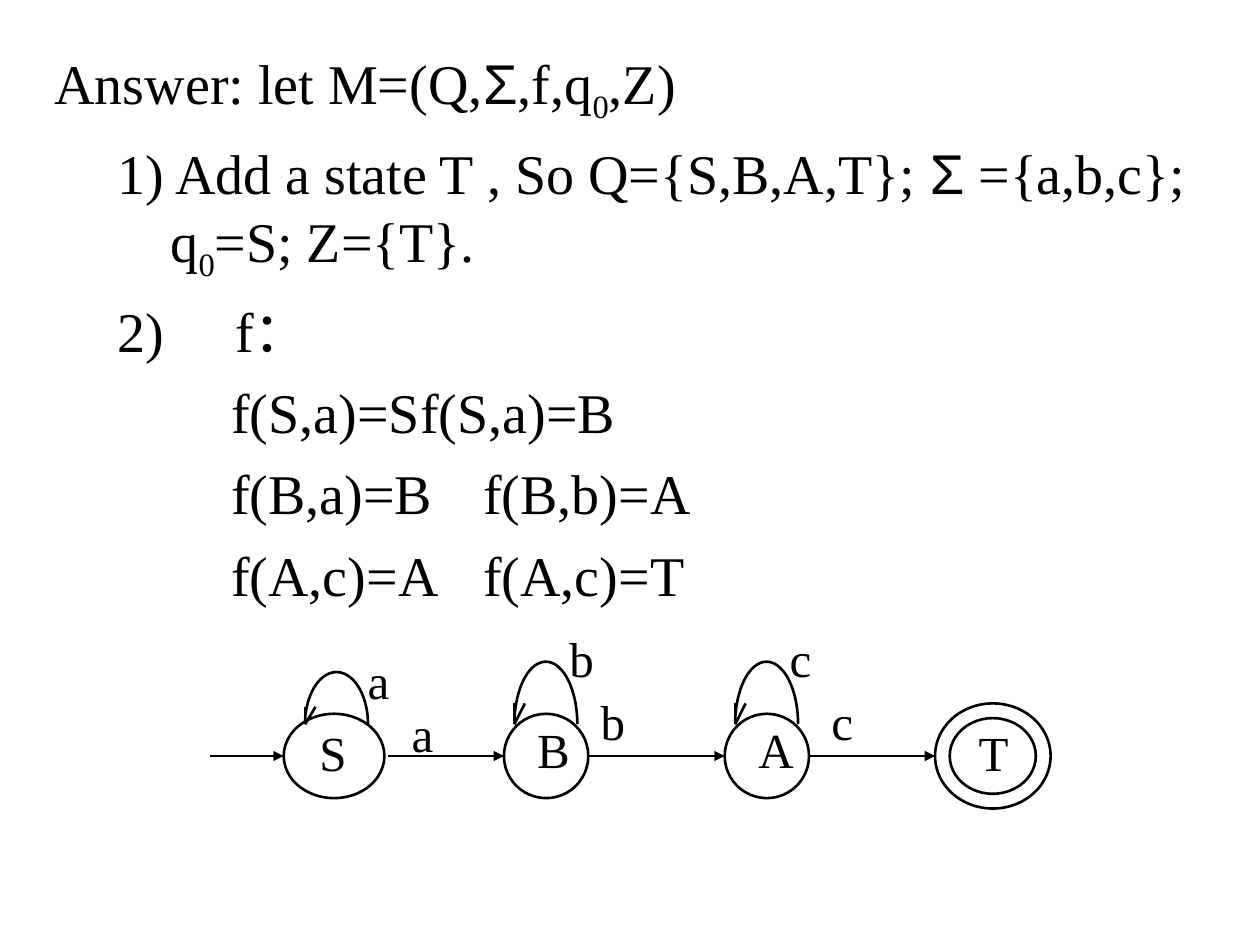
import math
from lxml import etree
from pptx import Presentation
from pptx.dml.color import RGBColor
from pptx.enum.dml import MSO_LINE
from pptx.enum.shapes import MSO_CONNECTOR, MSO_SHAPE
from pptx.oxml.ns import qn
from pptx.util import Cm, Pt

BLACK = RGBColor(0, 0, 0)
OVAL, RING = MSO_SHAPE.OVAL, MSO_SHAPE.DONUT
LINE = MSO_CONNECTOR.STRAIGHT
SOLID = MSO_LINE.SOLID
SERIF, SANS = "Times New Roman", "Arial"
PEN = {"width": Pt(1.5), "dash_style": SOLID}
AXIS, FOOT = 15.24, 14.6

HEAD = {"margin": 0.95, "first": -0.95}
ITEM = {"margin": 2.34, "first": -1.07}
CASE = {"margin": 3.64, "first": -2.37, "tab": 3.64}
RULE = {"margin": 3.56, "first": 0, "tab": 8.75}

LINES = [
    (HEAD, [("Answer: let M=(Q,", ""), ("Σ", "sans"), (",f,q", ""), ("0", "sub"), (",Z)", "")]),
    (ITEM, [("1) Add a state T , So Q={S,B,A,T}; ", ""), ("Σ", "sans"),
            (" ={a,b,c}; q", ""), ("0", "sub"), ("=S; Z={T}.", "")]),
    (CASE, [("2)\tf：", "")]),
    (RULE, [("f(S,a)=S\tf(S,a)=B", "")]),
    (RULE, [("f(B,a)=B\tf(B,b)=A", "")]),
    (RULE, [("f(A,c)=A\tf(A,c)=T", "")]),
]
STATES = [
    (OVAL, 5.72, 2.03, 1.7),
    (OVAL, 10.16, 1.7, 1.7),
    (OVAL, 14.61, 1.7, 1.7),
    (RING, 18.85, 2.33, 2.12),
]
ARROWS = [(4.24, 5.72), (7.82, 10.16), (11.86, 14.61), (16.31, 18.85)]
LOOPS = [(6.15, 13.55), (10.37, 13.34), (14.82, 13.34)]
LABELS = [
    ("S", 6.19, 14.45, 1.05), ("B", 10.58, 14.38, 1.15),
    ("A", 15.04, 14.38, 1.22), ("T", 19.48, 14.45, 1.12),
    ("a", 8.05, 14.05, 0.94), ("b", 11.86, 13.82, 0.99), ("c", 16.51, 13.82, 0.94),
    ("a", 7.16, 12.98, 0.94), ("b", 11.23, 12.55, 0.99), ("c", 15.67, 12.55, 0.94),
]


def style(item, form):
    """Set attributes from a dict of format values."""
    for name, value in form.items():
        setattr(item, name, value)


def ink(shape):
    """Give a shape or line the black pen."""
    shape.line.color.rgb = BLACK
    style(shape.line, PEN)


def write(para, text, size, kind=""):
    """Add a run of text, in the plain, sans or subscript kind."""
    run = para.add_run()
    run.text = text
    style(run.font, {"name": SANS if kind == "sans" else SERIF, "size": Pt(size)})
    run.font.color.rgb = BLACK
    if kind == "sub":
        run.font._element.set("baseline", "-25000")


def indent(para, form):
    """Set the left margin, first line and tab stop of a paragraph."""
    props = para._p.get_or_add_pPr()
    props.set("marL", str(Cm(form["margin"])))
    props.set("indent", str(Cm(form["first"])))
    if "tab" in form:
        stops = etree.SubElement(props, qn("a:tabLst"))
        etree.SubElement(stops, qn("a:tab"), pos=str(Cm(form["tab"])), algn="l")


def body(shapes):
    """Write the answer text."""
    frame = shapes.add_textbox(Cm(0.85), Cm(0.85), Cm(23.5), Cm(17.35)).text_frame
    frame.word_wrap = True
    for row, (form, parts) in enumerate(LINES):
        para = frame.add_paragraph() if row else frame.paragraphs[0]
        indent(para, form)
        para.space_before = Pt(8 if row else 0)
        for text, kind in parts:
            write(para, text, 32, kind)


def label(shapes, text, left, top, width):
    """Write one letter of the diagram."""
    frame = shapes.add_textbox(Cm(left), Cm(top), Cm(width), Cm(1.44)).text_frame
    frame.word_wrap = False
    write(frame.paragraphs[0], text, 28)


def state(shapes, kind, left, width, height):
    """Draw a state centred on the axis."""
    shape = shapes.add_shape(kind, Cm(left), Cm(AXIS - height / 2), Cm(width), Cm(height))
    shape.shadow.inherit = False
    shape.fill.background()
    ink(shape)
    if kind == RING:
        shape.adjustments[0] = 0.14


def stroke(shapes, start, end, tip=False):
    """Draw a straight line, with an arrowhead if asked."""
    line = shapes.add_connector(LINE, *map(Cm, start + end))
    ink(line)
    etree.SubElement(line._element.spPr, qn("a:effectLst"))
    if tip:
        etree.SubElement(line.line._get_or_add_ln(), qn("a:tailEnd"), type="triangle")


def loop(shapes, left, top):
    """Draw a half oval with an open arrowhead at its left foot."""
    high, half = FOOT - top, 0.635
    turns = [math.pi * step / 36 for step in range(37)]
    dots = [(Cm(left + half + half * math.cos(turn)), Cm(FOOT - high * math.sin(turn)))
            for turn in turns]
    pen = shapes.build_freeform(*dots[0])
    pen.add_line_segments(dots[1:], close=False)
    curve = pen.convert_to_shape()
    curve.shadow.inherit = False
    curve.fill.background()
    ink(curve)
    for side in (0, 0.21):
        stroke(shapes, (left, FOOT), (left + side, FOOT - high / 3))


def main():
    """Build the slide and save it."""
    deck = Presentation()
    style(deck, {"slide_width": Cm(25.4), "slide_height": Cm(19.05)})
    shapes = deck.slides.add_slide(deck.slide_layouts[6]).shapes
    body(shapes)
    for item in STATES:
        state(shapes, *item)
    for start, end in ARROWS:
        stroke(shapes, (start, AXIS), (end, AXIS), True)
    for item in LOOPS:
        loop(shapes, *item)
    for item in LABELS:
        label(shapes, *item)
    deck.save("out.pptx")


if __name__ == "__main__":
    main()
